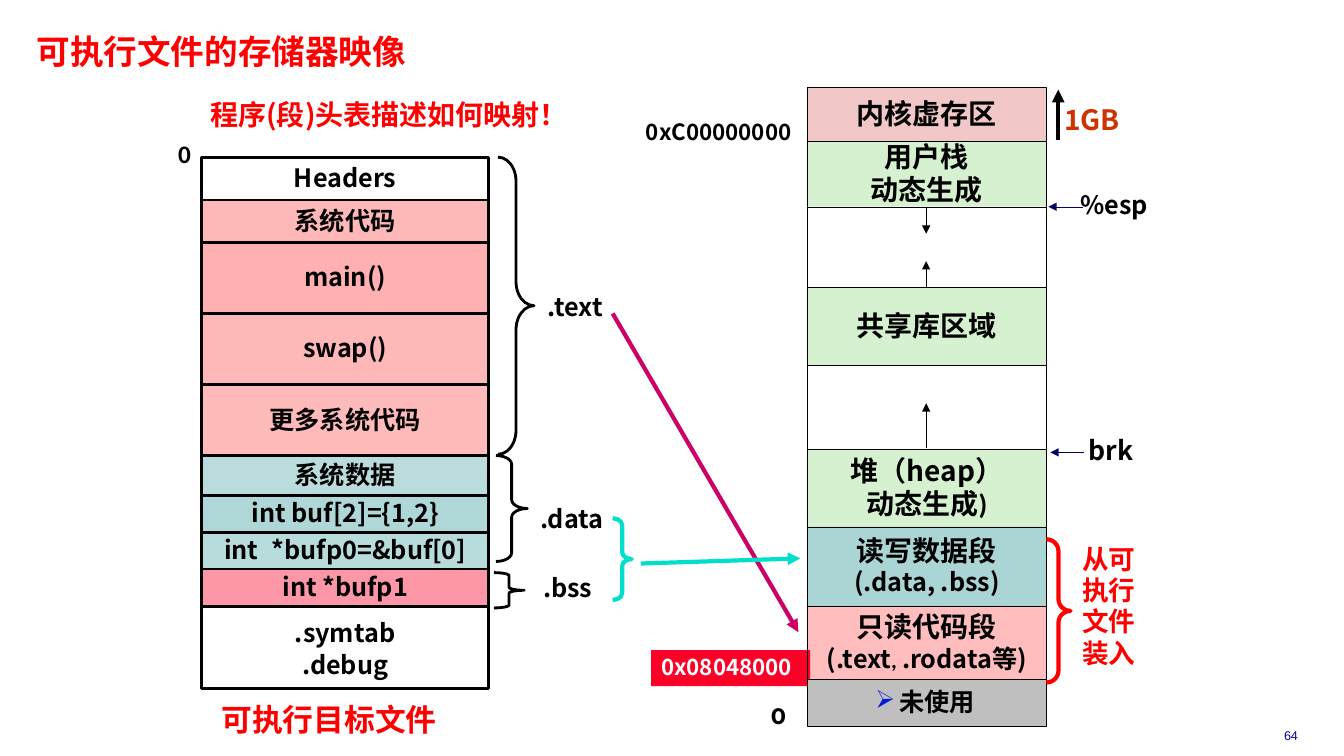
from lxml import etree
from pptx import Presentation
from pptx.dml.color import RGBColor
from pptx.enum.shapes import MSO_CONNECTOR, MSO_SHAPE
from pptx.enum.text import MSO_ANCHOR, MSO_AUTO_SIZE, PP_ALIGN
from pptx.oxml.ns import qn
from pptx.util import Cm, Pt

LEFT, CENTER = PP_ALIGN.LEFT, PP_ALIGN.CENTER
MIDDLE, GROW = MSO_ANCHOR.MIDDLE, MSO_AUTO_SIZE.SHAPE_TO_FIT_TEXT
RECT, BRACE = MSO_SHAPE.RECTANGLE, MSO_SHAPE.RIGHT_BRACE
STRAIGHT = MSO_CONNECTOR.STRAIGHT
SANS, CALIBRI = "Noto Sans CJK SC", "Calibri"

COLORS = {
    "black": "000000", "white": "FFFFFF", "red": "FF0000", "crimson": "FC0128",
    "teal": "008080", "aqua": "00DFCA", "magenta": "CC0066", "navy": "000066",
    "page": "000099", "rust": "CC3300", "kernel": "F1C7C7", "green": "D5F1CF",
    "grey": "BFBFBF", "bullet": "001ADC",
}
RGB = {name: RGBColor.from_string(value) for name, value in COLORS.items()}


def write(shape, lines, size, color, spacing, font, align, frame_format):
    """Fill a shape; a line is a string or a list of (text, size, font) runs."""
    frame = shape.text_frame
    for name, value in frame_format.items():
        setattr(frame, name, value)
    for number, line in enumerate(lines):
        paragraph = frame.add_paragraph() if number else frame.paragraphs[0]
        paragraph.alignment = align
        paragraph.line_spacing = spacing
        runs = [(line, size, font)] if isinstance(line, str) else line
        for text, run_size, run_font in runs:
            run = paragraph.add_run()
            run.text = text
            values = {"size": Pt(run_size), "bold": color != "page", "name": run_font}
            for name, value in values.items():
                setattr(run.font, name, value)
            run.font.color.rgb = RGB[color]
            east_asian = etree.SubElement(run.font._element, qn("a:ea"))
            east_asian.set("typeface", SANS)
    return frame


prs = Presentation()
prs.slide_width, prs.slide_height = Cm(33.87), Cm(19.05)
slide = prs.slides.add_slide(prs.slide_layouts[6])
shapes = slide.shapes

# Title, captions, addresses and section names:
# left, top, width, height, text, size, colour, line spacing, font, side margin, wrap
labels = [
    (0.74, 0.79, 24.21, 1.04, "可执行文件的存储器映像", 24, "red", 0.87, "Noto Sans Mono", 0.18, True),
    (5.05, 2.32, 9.86, 1.09, "程序(段)头表描述如何映射！", 20, "red", 1.0, SANS, 0.25, True),
    (5.33, 17.57, 5.99, 1.19, "可执行目标文件", 22, "red", 0.98, CALIBRI, 0.25, False),
    (4.24, 3.4, 0.84, 1.02, "0", 18, "black", 0.98, CALIBRI, 0.25, False),
    (13.56, 7.28, 1.96, 0.99, ".text", 18, "black", 0.94, SANS, 0.25, False),
    (13.36, 12.62, 2.13, 0.99, ".data", 18, "black", 0.94, SANS, 0.25, False),
    (13.44, 14.35, 1.75, 0.99, ".bss", 18, "black", 0.94, SANS, 0.25, False),
    (16.03, 2.9, 4.39, 0.91, "0xC00000000", 16, "black", 0.94, SANS, 0.25, False),
    (16.41, 16.38, 4.01, 0.91, "0x08048000", 16, "white", 0.94, SANS, 0.25, False),
    (19.18, 17.6, 0.89, 0.94, "0", 16, "black", 0.98, "Montserrat", 0.25, False),
    (27.23, 4.7, 2.0, 0.97, "%esp", 18, "black", 0.94, SANS, 0, False),
    (27.18, 10.87, 1.65, 1.02, "brk", 19, "black", 0.94, SANS, 0.25, False),
    (26.82, 2.46, 1.52, 1.09, "1GB", 20, "rust", 1.0, SANS, 0, True),
    (27.28, 13.59, 1.42, 3.45, "从可执行文件装入", 19, "red", 0.98, CALIBRI, 0, True),
    (31.34, 18.21, 2.39, 0.64, "64", 9, "page", 1.0, "Arial", 0.25, True),
]
for left, top, width, height, text, size, color, spacing, font, margin, wrap in labels:
    label = shapes.add_textbox(Cm(left), Cm(top), Cm(width), Cm(height))
    if color == "white":
        label.fill.solid()
        label.fill.fore_color.rgb = RGB["crimson"]
    label_format = {"margin_left": Cm(margin), "margin_right": Cm(margin),
                    "word_wrap": wrap, "auto_size": GROW}
    align = CENTER if color == "page" else LEFT
    write(label, [text], size, color, spacing, font, align, label_format)

# Both stacks, top to bottom: height, fill, opacity in percent, line spacing, lines
file_rows = [
    (1.08, "white", 100, 0.98, ["Headers"]),
    (1.08, "red", 28, 0.98, ["系统代码"]),
    (1.79, "red", 31, 0.94, ["main()"]),
    (1.79, "red", 28, 0.94, ["swap()"]),
    (1.78, "red", 27, 0.98, ["更多系统代码"]),
    (1.0, "teal", 27, 0.98, ["系统数据"]),
    (0.93, "teal", 31, 0.94, ["int buf[2]={1,2}"]),
    (0.93, "teal", 28, 0.94,
     [[("int", 18, SANS), (" ", 16, "Courier New"), ("*bufp0=&buf[0]", 18, SANS)]]),
    (0.95, "crimson", 41, 0.98, ["int *bufp1"]),
    (2.06, "white", 100, 1.05, [".symtab", ".debug"]),
]
memory_rows = [
    (1.35, "kernel", 100, 0.98, ["内核虚存区"]),
    (1.65, "green", 100, 0.98, ["用户栈", "动态生成"]),
    (2.03, "white", 100, 0.98, []),
    (1.96, "green", 100, 0.98, ["共享库区域"]),
    (2.13, "white", 100, 0.98, []),
    (1.95, "green", 100, 0.98,
     ["堆（heap）", [("动态生成", 20, SANS), (")", 20, CALIBRI)]]),
    (1.99, "teal", 33, 0.98, ["读写数据段", [("(.data, .bss)", 18, SANS)]]),
    (1.85, "red", 26, 0.98,
     ["只读代码段", [("(.text", 18, SANS), (", ", 16, CALIBRI), (".rodata等)", 18, SANS)]]),
    (1.17, "grey", 100, 0.98, [[("未使用", 18, SANS)]]),
]
stacks = [(5.08, 3.96, 7.24, 2, 18, file_rows), (20.35, 2.21, 6.02, 0.25, 20, memory_rows)]
row_format = {"vertical_anchor": MIDDLE, "word_wrap": False}
for left, top, width, border, size, rows in stacks:
    for height, fill, opacity, spacing, lines in rows:
        row = shapes.add_shape(RECT, Cm(left), Cm(top), Cm(width), Cm(height))
        row.shadow.inherit = False
        row.fill.solid()
        row.fill.fore_color.rgb = RGB[fill]
        if opacity < 100:
            tint = row._element.spPr.find(qn("a:solidFill")).find(qn("a:srgbClr"))
            etree.SubElement(tint, qn("a:alpha")).set("val", str(opacity * 1000))
        row.line.color.rgb = RGB["black"]
        row.line.width = Pt(border)
        row_text = write(row, lines, size, "black", spacing, SANS, CENTER, row_format)
        top += height

# Arrow bullet in the last memory row, the unused area
unused = row_text.paragraphs[0]._p.get_or_add_pPr()
bullet_color = etree.SubElement(unused, qn("a:buClr"))
etree.SubElement(bullet_color, qn("a:srgbClr")).set("val", COLORS["bullet"])
etree.SubElement(unused, qn("a:buChar")).set("char", "➢")

# Braces: left, top, width, height, curl, colour, line width
braces = [
    (12.55, 3.96, 0.91, 7.49, 0.666, "black", 2),
    (12.5, 11.48, 0.79, 2.67, 0.28, "black", 2),
    (12.45, 14.43, 0.76, 0.89, 0.1, "black", 2),
    (15.44, 13.06, 0.48, 2.06, 0.357, "aqua", 3),
    (26.37, 13.59, 0.61, 3.61, 0.486, "red", 3),
]
for left, top, width, height, curl, color, weight in braces:
    brace = shapes.add_shape(BRACE, Cm(left), Cm(top), Cm(width), Cm(height))
    brace.shadow.inherit = False
    brace.adjustments[0] = curl
    brace.fill.background()
    brace.line.color.rgb = RGB[color]
    brace.line.width = Pt(weight)

# Arrows: start x, start y, end x, end y, colour, line width
arrows = [
    (27.28, 5.21, 26.42, 5.21, "navy", 0.25),
    (27.31, 11.4, 26.47, 11.4, "navy", 0.25),
    (26.67, 3.53, 26.67, 2.26, "black", 3),
    (23.34, 5.23, 23.34, 5.89, "black", 0.25),
    (23.34, 7.26, 23.34, 6.58, "black", 0.25),
    (23.34, 11.3, 23.34, 10.16, "black", 0.25),
    (15.44, 7.9, 20.12, 15.93, "magenta", 3),
    (16.15, 14.2, 20.17, 14.07, "aqua", 3),
]
for start_x, start_y, end_x, end_y, color, weight in arrows:
    arrow = shapes.add_connector(STRAIGHT, Cm(start_x), Cm(start_y), Cm(end_x), Cm(end_y))
    arrow.line.color.rgb = RGB[color]
    arrow.line.width = Pt(weight)
    properties = arrow._element.spPr
    etree.SubElement(properties.find(qn("a:ln")), qn("a:tailEnd")).set("type", "triangle")
    etree.SubElement(properties, qn("a:effectLst"))

prs.save("out.pptx")
